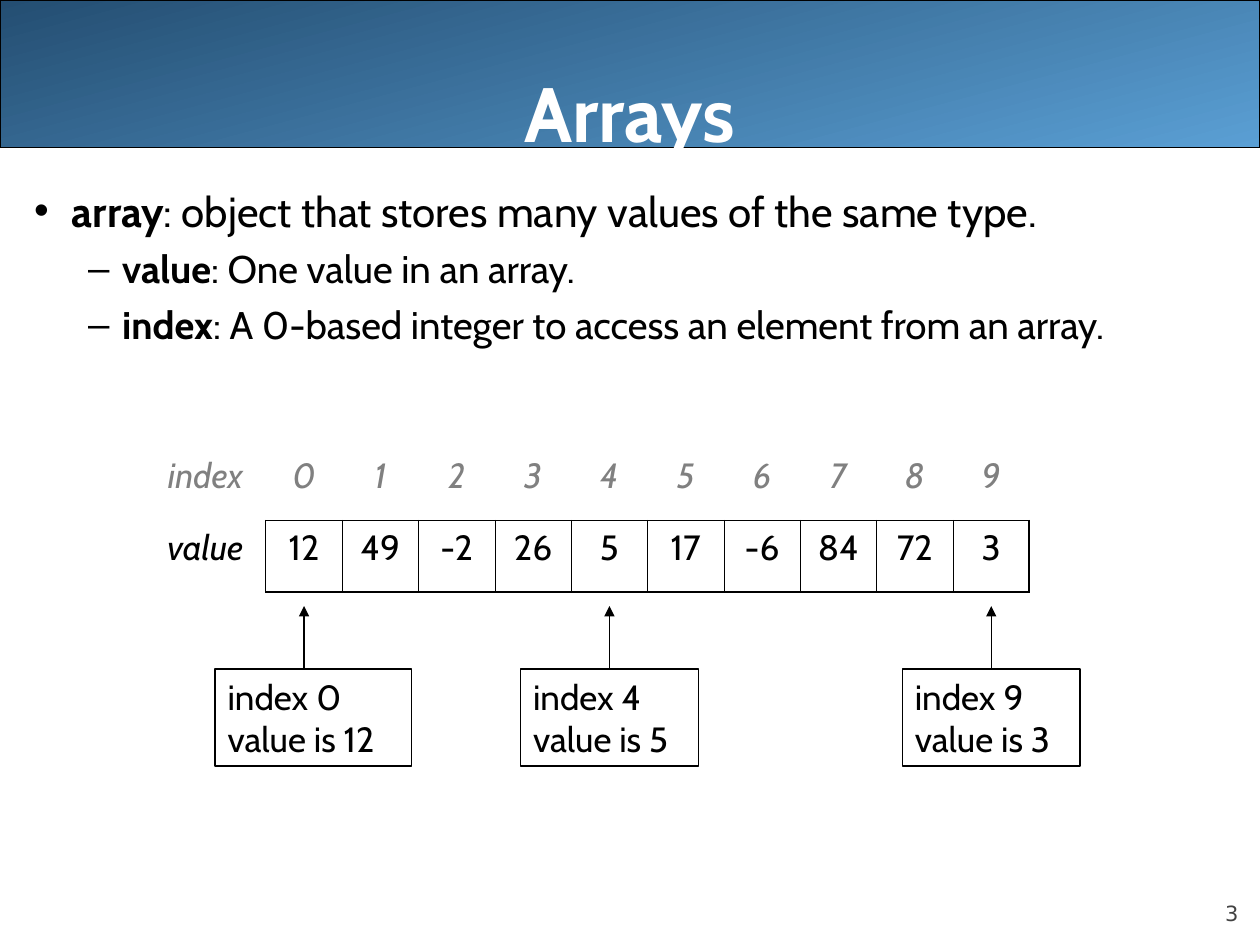
import pptx
import pptx.util
import pptx.dml.color
import pptx.enum.shapes
import pptx.enum.text
import pptx.oxml.ns
from lxml import etree

Inches, Pt = pptx.util.Inches, pptx.util.Pt
ALIGN = pptx.enum.text.PP_ALIGN
ANCHOR = pptx.enum.text.MSO_ANCHOR
qn = pptx.oxml.ns.qn

# Content
TITLE = "Arrays"
PAGE = "3"
DEFINITIONS = [  # level, term, meaning
    (0, "array", ": object that stores many values of the same type."),
    (1, "value", ": One value in an array."),
    (1, "index", ": A 0-based integer to access an element from an array."),
]
VALUES = [12, 49, -2, 26, 5, 17, -6, 84, 72, 3]
CALLOUTS = [(0, 1.56), (4, 1.41), (9, 1.41)]  # index, box width

THEME = {
    "font": "Cabin", "page_font": "DejaVu Sans",
    "black": "000000", "white": "FFFFFF", "muted": "808080", "page": "424242",
    "banner": ("244E72", "5A9FD4"),
    "title_size": 44, "array_size": 20, "page_size": 12,
    "line": 0.75, "thin": 0.45, "thick": 1.08,
}
LEVELS = [  # bullet, margin, hanging indent, size, space before
    ("•", 0.3, 0.3, 24, 0),
    ("–", 0.7, 0.27, 22, 5.5),
]

# Layout
TABLE_LEFT, TABLE_TOP, ROW_HEIGHT = 1.15, 3.56, 0.57
LABEL_WIDTH, CELL_WIDTH = 0.96, 0.606
BOX_TOP, BOX_HEIGHT, ARROW_OFFSET, ARROW_TIP = 5.31, 0.77, 0.705, 4.81


def rgb(color):
    return pptx.dml.color.RGBColor.from_string(color)


def style(paragraph, size, color=THEME["black"], align=None, face=THEME["font"], **flags):
    paragraph.alignment = align
    font = paragraph.font
    font.name, font.size = face, Pt(size)
    font.color.rgb = rgb(color)
    for flag, state in flags.items():
        setattr(font, flag, state)


def place(part, left, top, width, height):
    part.left, part.top = Inches(left), Inches(top)
    part.width, part.height = Inches(width), Inches(height)


def set_insets(frame, left, top, right, bottom):
    frame.margin_left, frame.margin_top = Inches(left), Inches(top)
    frame.margin_right, frame.margin_bottom = Inches(right), Inches(bottom)


def outline(part):
    part.line.color.rgb = rgb(THEME["black"])
    part.line.width = Pt(THEME["line"])


def add_bullet(paragraph, char, margin, hanging):
    props = paragraph._p.get_or_add_pPr()
    props.set("marL", str(Inches(margin)))
    props.set("indent", str(-Inches(hanging)))
    color = etree.SubElement(props, qn("a:buClr"))
    etree.SubElement(color, qn("a:srgbClr"), val=THEME["black"])
    etree.SubElement(props, qn("a:buChar"), char=char)


def set_borders(cell, **widths):
    props = cell._tc.get_or_add_tcPr()
    sides = [side for side in "LRTB" if side in widths]
    for position, side in enumerate(sides):
        border = etree.Element(qn("a:ln" + side), w=str(Pt(widths[side])))
        fill = etree.SubElement(border, qn("a:solidFill"))
        etree.SubElement(fill, qn("a:srgbClr"), val=THEME["black"])
        props.insert(position, border)


def add_banner(slide):
    banner = slide.shapes.add_shape(
        pptx.enum.shapes.MSO_SHAPE.ROUNDED_RECTANGLE, 0, 0, Inches(10), Inches(1.17))
    banner.adjustments[0] = 0
    banner.shadow.inherit = False
    banner.fill.gradient()
    banner.fill.gradient_angle = 285
    for stop, color, position in zip(banner.fill.gradient_stops, THEME["banner"], (0, 1)):
        stop.color.rgb, stop.position = rgb(color), position
    outline(banner)
    slide.shapes._spTree.insert(2, banner._element)  # behind the title


def add_heading(slide):
    title = slide.shapes.title
    place(title, 0.5, 0, 9, 1.25)
    frame = title.text_frame
    frame.text = TITLE
    frame.auto_size = pptx.enum.text.MSO_AUTO_SIZE.NONE
    frame.vertical_anchor = ANCHOR.BOTTOM
    set_insets(frame, 0, 0.05, 0, 0)
    style(frame.paragraphs[0], THEME["title_size"], THEME["white"], ALIGN.CENTER, bold=True)


def add_definitions(slide):
    body = slide.placeholders[1]
    place(body, 0.17, 1.42, 9.83, 5.67)
    frame = body.text_frame
    frame.auto_size = pptx.enum.text.MSO_AUTO_SIZE.NONE
    for number, (level, term, meaning) in enumerate(DEFINITIONS):
        paragraph = frame.add_paragraph() if number else frame.paragraphs[0]
        char, margin, hanging, size, before = LEVELS[level]
        paragraph.level = level
        add_bullet(paragraph, char, margin, hanging)
        paragraph.space_before = Pt(before)
        style(paragraph, size)
        for words, bold in ((term, True), (meaning, False)):
            run = paragraph.add_run()
            run.text, run.font.bold = words, bold


def add_array(slide):
    rows = [["index", *range(len(VALUES))], ["value", *VALUES]]
    columns = len(rows[0])
    frame = slide.shapes.add_table(
        2, columns, Inches(TABLE_LEFT), Inches(TABLE_TOP),
        Inches(LABEL_WIDTH + CELL_WIDTH * len(VALUES)), Inches(2 * ROW_HEIGHT))
    array = frame.table
    array.first_row = array.horz_banding = False
    # "No Style, No Grid"
    array._tbl.tblPr.find(qn("a:tableStyleId")).text = "{2D5ABB26-0587-4C30-8999-92F81FD0307C}"
    thin, thick = THEME["thin"], THEME["thick"]
    for c, column in enumerate(array.columns):
        column.width = Inches(CELL_WIDTH if c else LABEL_WIDTH)
    for r, entries in enumerate(rows):
        array.rows[r].height = Inches(ROW_HEIGHT)
        for c, entry in enumerate(entries):
            cell = array.cell(r, c)
            cell.text = str(entry)
            cell.fill.background()
            style(cell.text_frame.paragraphs[0], THEME["array_size"],
                  THEME["black" if r else "muted"], ALIGN.CENTER, italic=r == 0 or c == 0)
            if r and c:
                right = thick if c == columns - 1 else thin
                set_borders(cell, L=thin, R=right, T=thin, B=thick)
            elif r:
                set_borders(cell, R=thin)
            elif c:
                set_borders(cell, B=thin)


def add_callout(slide, index, width):
    x = TABLE_LEFT + LABEL_WIDTH + CELL_WIDTH * (index + 0.5)
    box = slide.shapes.add_shape(
        pptx.enum.shapes.MSO_SHAPE.RECTANGLE, Inches(x - ARROW_OFFSET),
        Inches(BOX_TOP), Inches(width), Inches(BOX_HEIGHT))
    box.shadow.inherit = False
    box.fill.background()
    outline(box)
    frame = box.text_frame
    frame.text = f"index {index}\nvalue is {VALUES[index]}"
    frame.vertical_anchor = ANCHOR.TOP
    for paragraph in frame.paragraphs:
        style(paragraph, THEME["array_size"], align=ALIGN.LEFT)

    arrow = slide.shapes.add_connector(
        pptx.enum.shapes.MSO_CONNECTOR.STRAIGHT,
        Inches(x), Inches(BOX_TOP), Inches(x), Inches(ARROW_TIP))
    if width == 2 * ARROW_OFFSET:
        arrow.begin_connect(box, 0)
    outline(arrow)
    etree.SubElement(arrow.line._get_or_add_ln(), qn("a:tailEnd"), type="triangle")
    etree.SubElement(arrow._element.spPr, qn("a:effectLst"))


def add_page_number(slide):
    number = slide.shapes.add_textbox(Inches(9), Inches(6.95), Inches(0.83), Inches(0.4))
    frame = number.text_frame
    frame.word_wrap = True
    frame.text = PAGE
    frame.vertical_anchor = ANCHOR.BOTTOM
    set_insets(frame, 0, 0, 0, 0)
    style(frame.paragraphs[0], THEME["page_size"], THEME["page"], ALIGN.RIGHT, THEME["page_font"])


def main():
    deck = pptx.Presentation()
    deck.slide_width, deck.slide_height = Inches(10), Inches(7.5)
    slide = deck.slides.add_slide(deck.slide_layouts[1])
    add_banner(slide)
    add_heading(slide)
    add_definitions(slide)
    add_array(slide)
    for index, width in CALLOUTS:
        add_callout(slide, index, width)
    add_page_number(slide)
    deck.save("out.pptx")


if __name__ == "__main__":
    main()
